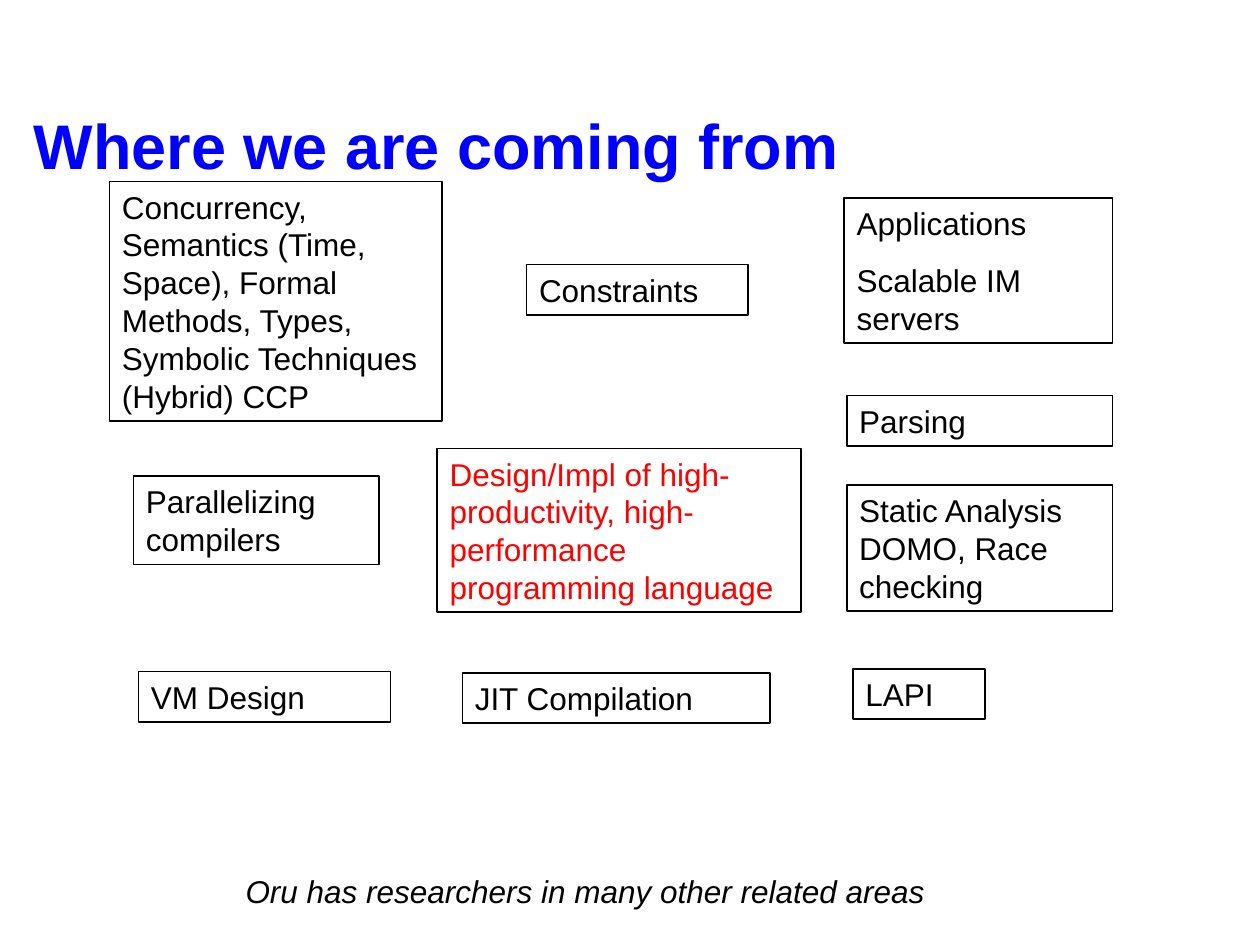
from pptx import Presentation
from pptx.dml.color import RGBColor
from pptx.enum.shapes import MSO_SHAPE
from pptx.enum.text import MSO_ANCHOR, MSO_AUTO_SIZE, PP_ALIGN
from pptx.util import Inches, Pt

RECTANGLE = MSO_SHAPE.RECTANGLE
TOP, BOTTOM = MSO_ANCHOR.TOP, MSO_ANCHOR.BOTTOM
LEFT = PP_ALIGN.LEFT
GROW, FIXED = MSO_AUTO_SIZE.SHAPE_TO_FIT_TEXT, MSO_AUTO_SIZE.NONE

BLACK, BLUE, RED = "000000", "0000FF", "FF0000"

# Each topic: left, top, width, height in inches, text colour, paragraphs
TOPICS = [
    (3.47, 3.56, 2.89, 1.3, RED,
     ["Design/Impl of high-productivity, high-performance programming language"]),
    (1.06, 3.78, 1.95, 0.7, BLACK, ["Parallelizing compilers"]),
    (1.1, 5.33, 2, 0.4, BLACK, ["VM Design"]),
    (6.77, 5.31, 1.05, 0.4, BLACK, ["LAPI"]),
    (0.87, 1.44, 2.64, 1.9, BLACK,
     ["Concurrency, Semantics (Time, Space), Formal Methods, Types, "
      "Symbolic Techniques (Hybrid) CCP"]),
    (4.18, 2.1, 1.76, 0.4, BLACK, ["Constraints"]),
    (6.72, 3.85, 2.11, 1, BLACK, ["Static Analysis DOMO, Race checking"]),
    (3.67, 5.34, 2.44, 0.4, BLACK, ["JIT Compilation"]),
    (6.7, 1.57, 2.13, 1.15, BLACK, ["Applications", "Scalable IM servers"]),
    (6.72, 3.14, 2.11, 0.4, BLACK, ["Parsing"]),
]


def color(hex_text):
    return RGBColor.from_string(hex_text)


def write_text(box, paragraphs, size=18, ink=BLACK, bold=False, italic=False,
               anchor=TOP, auto_size=GROW, line_spacing=1.0):
    frame = box.text_frame
    frame.word_wrap = True
    frame.auto_size = auto_size
    frame.vertical_anchor = anchor
    for index, text in enumerate(paragraphs):
        para = frame.add_paragraph() if index else frame.paragraphs[0]
        para.alignment = LEFT
        para.line_spacing = line_spacing
        if index:
            para.space_before = Pt(11.2)
        span = para.add_run()
        span.text = text
        span.font.name = "Arial"
        span.font.size = Pt(size)
        span.font.bold = bold
        span.font.italic = italic
        span.font.color.rgb = color(ink)


def add_title(page, left, top, width, height):
    box = page.shapes.add_textbox(left, top, width, height)
    write_text(box, ["Where we are coming from"], size=36, ink=BLUE, bold=True,
               anchor=BOTTOM, auto_size=FIXED, line_spacing=0.9)


def add_topic(page, left, top, width, height, ink, paragraphs):
    box = page.shapes.add_shape(RECTANGLE, left, top, width, height)
    box.shadow.inherit = False
    box.fill.background()
    box.line.color.rgb = color(BLACK)
    box.line.width = Pt(1)
    write_text(box, paragraphs, ink=ink)


def add_closing_note(page, left, top, width, height):
    box = page.shapes.add_textbox(left, top, width, height)
    write_text(box, ["Oru has researchers in many other related areas"], italic=True)


def main():
    deck = Presentation()
    deck.slide_width, deck.slide_height = Inches(10), Inches(7.5)
    page = deck.slides.add_slide(deck.slide_layouts[6])
    add_title(page, Inches(0.17), Inches(0.95), Inches(9.58), Inches(0.55))
    for left, top, width, height, ink, paragraphs in TOPICS:
        add_topic(page, Inches(left), Inches(top), Inches(width), Inches(height),
                  ink, paragraphs)
    add_closing_note(page, Inches(1.85), Inches(6.87), Inches(6.11), Inches(0.4))
    deck.save("out.pptx")


if __name__ == "__main__":
    main()
